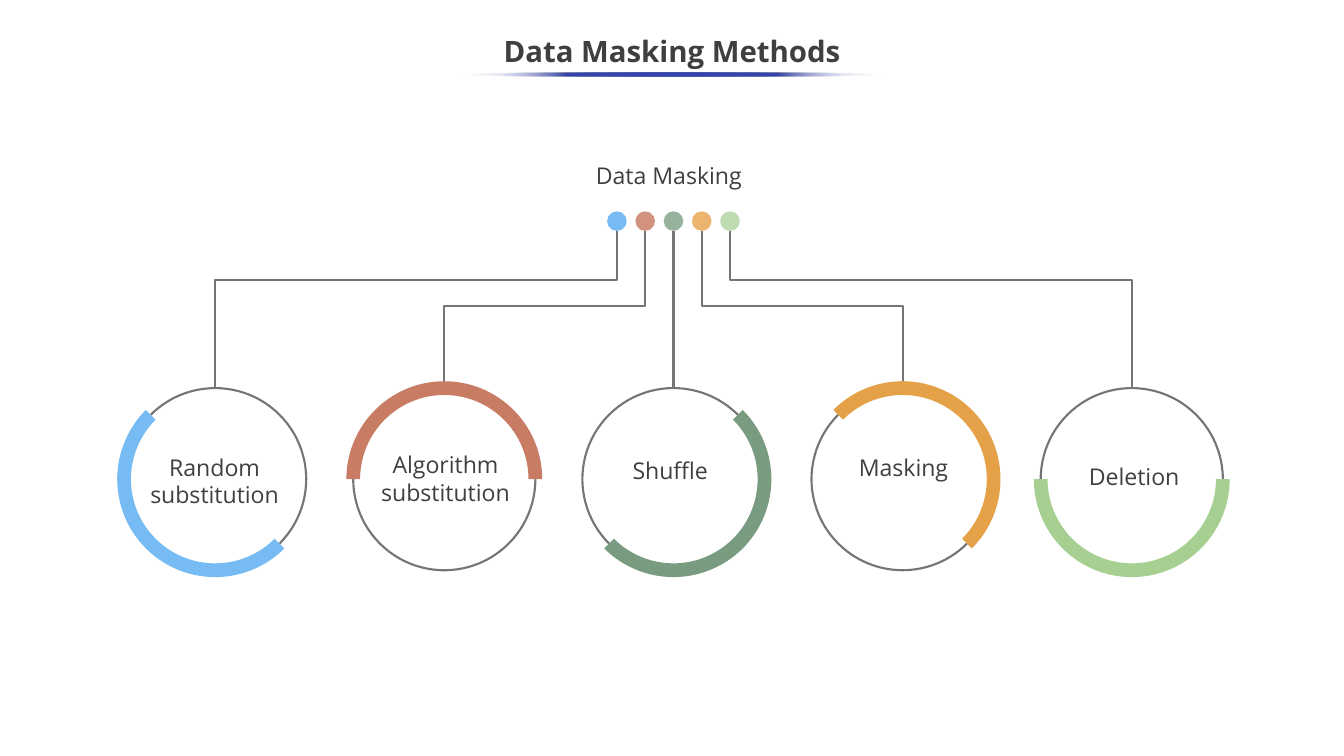
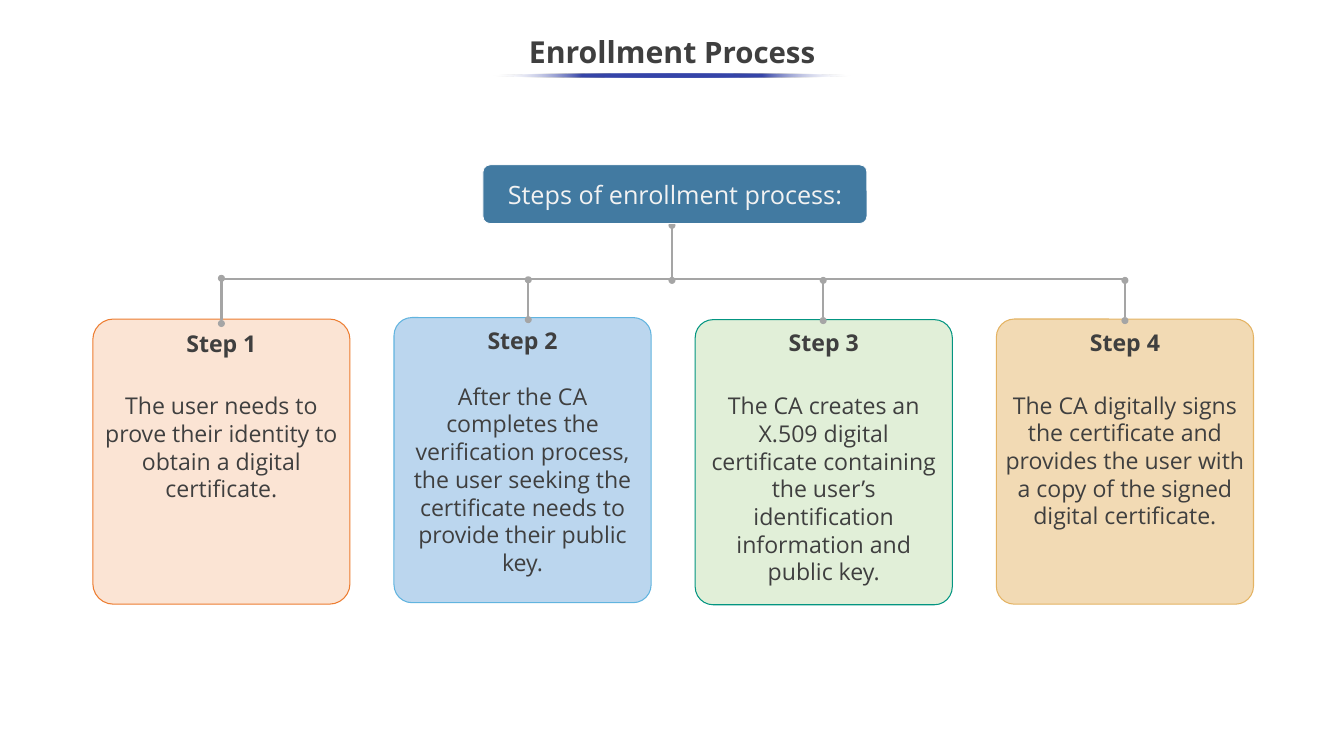
import lxml.etree
import pptx
import pptx.dml.color
import pptx.enum.shapes
import pptx.enum.text
import pptx.oxml
import pptx.oxml.ns
import pptx.util

Cm = pptx.util.Cm
Pt = pptx.util.Pt
SHAPE = pptx.enum.shapes.MSO_SHAPE
ANCHOR = pptx.enum.text.MSO_ANCHOR
qn = pptx.oxml.ns.qn

SLIDE_W, SLIDE_H = 45.16, 25.4
FONT = "Open Sans"
INK = "3F3F3F"
WHITE = "FFFFFF"
ACCENT = "3645A9"
WIRE = "757575"
TREE = "A5A5A5"
BODY_SIZE = 22
UNDERLINE_STOPS = [(0, WHITE, 0), (25, ACCENT, 100), (75, ACCENT, 100), (100, WHITE, 0)]

# label, dot colour, band colour, band start angle, label box (dx, dy, width, height)
METHODS = [
    ("Random substitution", "76BBF3", "76BBF3", 45, (-0.02, -1.01, 5.61, 2.13)),
    ("Algorithm substitution", "D1927E", "C87C64", 180, (0.04, -1.09, 6.6, 2.13)),
    ("Shuffle", "98B39D", "799B7F", 315, (-0.11, -0.89, 6.48, 1.19)),
    ("Masking", "EBB56F", "E5A147", 225, (0.03, -1.01, 5.97, 1.19)),
    ("Deletion", "BEDCAF", "A6CF91", 0, (0.08, -0.68, 5.92, 1.19)),
]

# text, fill, outline, corner, top, space before text, drop line (x, top, bottom)
STEPS = [
    ("The user needs to prove their identity to obtain a digital certificate.",
     "FBE4D4", "ED7D31", 0.08, 10.72, 33.4, (7.44, 9.35, 10.87)),
    ("After the CA completes the verification process, the user seeking the "
     "certificate needs to provide their public key.",
     "BBD6EE", "61B4DF", 0.07, 10.67, 26.4, (17.75, 9.4, 10.74)),
    ("The CA creates an X.509 digital certificate containing the user’s "
     "identification information and public key.",
     "E1EFD8", "039581", 0.07, 10.74, 33.4, (27.66, 9.42, 10.77)),
    ("The CA digitally signs the certificate and provides the user with a copy "
     "of the signed digital certificate.",
     "F2DAB4", "E4B363", 0.07, 10.72, 33.4, (37.8, 9.42, 10.77)),
]


def rgb(value):
    return pptx.dml.color.RGBColor.from_string(value)


def paint(shape, fill=None, line=None, width=1):
    shape.shadow.inherit = False
    if fill:
        shape.fill.solid()
        shape.fill.fore_color.rgb = rgb(fill)
    else:
        shape.fill.background()
    if line:
        shape.line.color.rgb = rgb(line)
        shape.line.width = Pt(width)
    else:
        shape.line.fill.background()
    return shape


def add_preset(slide, kind, left, top, width, height, *style):
    shape = slide.shapes.add_shape(kind, Cm(left), Cm(top), Cm(width), Cm(height))
    return paint(shape, *style)


def add_round(slide, kind, cx, cy, radius, *style):
    return add_preset(slide, kind, cx - radius, cy - radius, 2 * radius, 2 * radius, *style)


def add_wire(slide, points):
    corners = [(Cm(x), Cm(y)) for x, y in points]
    builder = slide.shapes.build_freeform(*corners[0], scale=1.0)
    builder.add_line_segments(corners[1:], close=False)
    paint(builder.convert_to_shape(), None, WIRE, 2)


def add_line(slide, x1, y1, x2, y2, color, width, ovals=False):
    line = slide.shapes.add_connector(
        pptx.enum.shapes.MSO_CONNECTOR.STRAIGHT, Cm(x1), Cm(y1), Cm(x2), Cm(y2))
    line.line.color.rgb = rgb(color)
    line.line.width = Pt(width)
    if ovals:
        stroke = line._element.spPr.find(qn("a:ln"))
        for end in ("a:headEnd", "a:tailEnd"):
            lxml.etree.SubElement(stroke, qn(end)).set("type", "oval")
    lxml.etree.SubElement(line._element.spPr, qn("a:effectLst"))


def set_frame(frame, margin_x, margin_y, anchor=ANCHOR.TOP):
    frame.word_wrap = True
    frame.margin_left = frame.margin_right = Cm(margin_x)
    frame.margin_top = frame.margin_bottom = Cm(margin_y)
    frame.vertical_anchor = anchor


def add_run(paragraph, text, size=BODY_SIZE, color=INK, bold=False):
    paragraph.alignment = pptx.enum.text.PP_ALIGN.CENTER
    run = paragraph.add_run()
    run.text = text
    run.font.name = FONT
    run.font.size = Pt(size)
    run.font.bold = bold
    run.font.color.rgb = rgb(color)


def add_label(slide, text, left, top, width, height, margin_y=0.13):
    label = slide.shapes.add_textbox(Cm(left), Cm(top), Cm(width), Cm(height))
    set_frame(label.text_frame, 0.25, margin_y)
    add_run(label.text_frame.paragraphs[0], text)


def add_title(slide, parts, top, underline_width):
    """Centred heading over an underline that fades out at both ends."""
    title = slide.shapes.add_textbox(Cm(0), Cm(top), Cm(SLIDE_W), Cm(1.91))
    set_frame(title.text_frame, 0.25, 0.13, ANCHOR.MIDDLE)
    heading = title.text_frame.paragraphs[0]
    heading.line_spacing = 0.9
    for text, size in parts:
        add_run(heading, text, size, bold=True)

    underline = add_preset(slide, SHAPE.OVAL, (SLIDE_W - underline_width) / 2 + 0.01,
                           top + 1.64, underline_width, 0.11, ACCENT)
    stops = "".join(
        f'<a:gs pos="{pos * 1000}"><a:srgbClr val="{color}">'
        f'<a:alpha val="{alpha * 1000}"/></a:srgbClr></a:gs>'
        for pos, color, alpha in UNDERLINE_STOPS)
    fade = pptx.oxml.parse_xml(
        f'<a:gradFill {pptx.oxml.ns.nsdecls("a")} rotWithShape="1">'
        f'<a:gsLst>{stops}</a:gsLst><a:lin ang="10800000" scaled="0"/></a:gradFill>')
    properties = underline._element.spPr
    properties.replace(properties.find(qn("a:solidFill")), fade)


def add_ring(slide, cx, cy, start, color):
    """Thick half clockwise from the start angle, thin half for the rest."""
    # Angle adjustments count 0.6 to the degree
    begin, end = start * 0.6, (start + 180) % 360 * 0.6
    thin = add_round(slide, SHAPE.ARC, cx, cy, 3.06, None, WIRE, 2)
    thin.adjustments[0], thin.adjustments[1] = end, begin
    thick = add_round(slide, SHAPE.BLOCK_ARC, cx, cy, 3.29, color)
    for i, value in enumerate((begin, end, 0.07)):
        thick.adjustments[i] = value


def add_method(slide, method, cx, cy, dot_x, dot_y, turn_y):
    """One branch: wire from its dot down to a labelled ring."""
    text, dot_color, band_color, start, (dx, dy, width, height) = method
    wire_top, wire_bottom = dot_y + 0.33, cy - 3.07

    # Wire and dot
    if turn_y is None:
        add_line(slide, dot_x, wire_top, cx, wire_bottom, WIRE, 2)
    else:
        add_wire(slide, [(dot_x, wire_top), (dot_x, turn_y),
                         (cx, turn_y), (cx, wire_bottom)])
    add_round(slide, SHAPE.OVAL, dot_x, dot_y, 0.33, dot_color)

    # Ring and label
    add_ring(slide, cx, cy, start, band_color)
    add_label(slide, text, cx + dx - width / 2, cy + dy, width, height)


def build_methods(slide):
    add_title(slide, [("Data Masking Methods", 28)], 0.81, 14.15)
    add_label(slide, "Data Masking", 16.57, 5.18, 11.81, 1.45, 0.25)
    centre = 22.63
    turns = [9.41, 10.27, None, 10.27, 9.41]
    for i, (method, turn_y) in enumerate(zip(METHODS, turns)):
        offset = i - len(METHODS) // 2
        add_method(slide, method, centre + 7.7 * offset, 16.1,
                   centre + 0.95 * offset, 7.43, turn_y)


def add_step(slide, number, step, left):
    text, fill, outline, corner, top, gap, _ = step
    card = add_preset(slide, SHAPE.ROUNDED_RECTANGLE, left, top, 8.64, 9.58,
                      fill, outline)
    card.adjustments[0] = corner
    frame = card.text_frame
    set_frame(frame, 0.13, 0.13)
    add_run(frame.paragraphs[0], f"Step {number}", bold=True)
    detail = frame.add_paragraph()
    detail.space_before = Pt(gap)
    add_run(detail, text)


def build_enrollment(slide):
    add_title(slide, [("Enrollment", 28.8), (" Process", 28)], 0.85, 12.06)

    # Step cards
    for i, step in enumerate(STEPS):
        add_step(slide, i + 1, step, 3.12 + 10.12 * i)

    # Tree lines
    drops = [step[-1] for step in STEPS]
    for x, top, bottom in drops:
        add_line(slide, x, bottom, x, top, TREE, 2.25, ovals=True)
    add_line(slide, drops[0][0], 9.37, drops[-1][0], 9.37, TREE, 2.25)
    add_line(slide, 22.58, 9.42, 22.58, 7.57, TREE, 2.25, ovals=True)

    # Root box
    root = add_preset(slide, SHAPE.ROUNDED_RECTANGLE, 16.23, 5.54, 12.9, 1.97,
                      "427AA1", WHITE, 0.75)
    root.adjustments[0] = 0.12
    set_frame(root.text_frame, 0.13, 0.13, ANCHOR.MIDDLE)
    add_run(root.text_frame.paragraphs[0], "Steps of enrollment process:", 24, "F2F2F2")


def main():
    deck = pptx.Presentation()
    deck.slide_width, deck.slide_height = Cm(SLIDE_W), Cm(SLIDE_H)
    for build in (build_methods, build_enrollment):
        build(deck.slides.add_slide(deck.slide_layouts[6]))
    deck.save("out.pptx")


if __name__ == "__main__":
    main()
